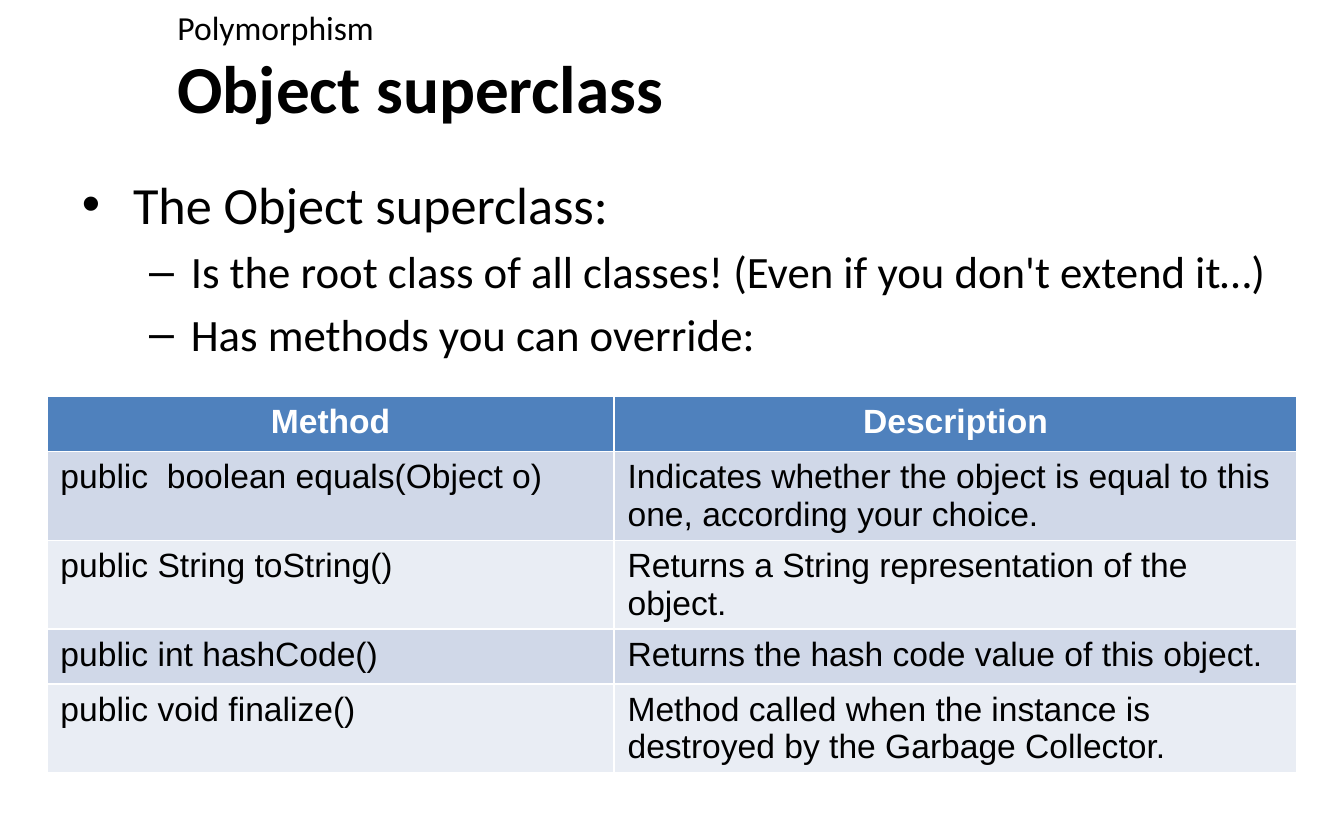
from pptx import Presentation as Deck
from pptx.dml.color import RGBColor as Rgb
from pptx.enum.text import MSO_ANCHOR as Anchor, MSO_AUTO_SIZE as Auto, PP_ALIGN as Align
from pptx.oxml.xmlchemy import OxmlElement as Node
from pptx.util import Inches, Pt

HUES = {"ink": "000000", "head": "4F81BD", "white": "FFFFFF",
        "odd": "D0D8E8", "even": "E9EDF4"}

deck = Deck()
deck.slide_width, deck.slide_height = Inches(10), Inches(6.25)
col, row = deck.slide_width / 100, deck.slide_height / 100


def box(x, y, wide, high):
    """Turn columns and rows of a 100 by 100 grid into lengths."""
    return [int(n) for n in (x * col, y * row, wide * col, high * row)]


def write(para, text, hue="ink", **form):
    run = para.add_run()
    run.text = text
    run.font.color.rgb = Rgb.from_string(HUES[hue])
    for name, value in form.items():
        setattr(run.font, name, value)


slide = deck.slides.add_slide(deck.slide_layouts.get_by_name("Two Content"))
title, body, topic = slide.placeholders

places = [
    (title, box(12.2, 5.92, 85.1, 8.8), Anchor.MIDDLE),
    (body, box(5.1, 19.68, 90.6, 74.08), Anchor.TOP),
    (topic, box(12.2, 0, 85.1, 5.92), Anchor.TOP),
]
for shape, area, anchor in places:
    for name, value in zip(("left", "top", "width", "height"), area):
        setattr(shape, name, value)
    shape.text_frame.auto_size = Auto.NONE
    shape.text_frame.vertical_anchor = anchor

# Title and topic
head = title.text_frame.paragraphs[0]
head.alignment = Align.LEFT
write(head, "Object superclass", name="Calibri", size=Pt(36), bold=True)

label = topic.text_frame.paragraphs[0]
write(label, "Polymorphism", name="Calibri", size=Pt(18))
props = label._p.get_or_add_pPr()
props.set("marL", "0")
props.set("indent", "0")
props.append(Node("a:buNone"))

# Bullet list
levels = [
    {"size": 28, "mark": "•", "left": 0.38, "hang": -0.38},
    {"size": 24, "mark": "–", "left": 0.81, "hang": -0.31},
]
points = [
    (0, "The Object superclass:"),
    (1, "Is the root class of all classes! (Even if you don't extend it…)"),
    (1, "Has methods you can override:"),
]
frame = body.text_frame
for i, (depth, text) in enumerate(points):
    para = frame.add_paragraph() if i else frame.paragraphs[0]
    para.level = depth
    form = levels[depth]
    write(para, text, name="Calibri", size=Pt(form["size"]))
    props = para._p.get_or_add_pPr()
    props.set("marL", str(Inches(form["left"])))
    props.set("indent", str(Inches(form["hang"])))
    mark = Node("a:buChar")
    mark.set("char", form["mark"])
    props.append(mark)

# Table of methods
methods = [
    ("Method", "Description"),
    ("public  boolean equals(Object o)",
     "Indicates whether the object is equal to this one, according your choice."),
    ("public String toString()", "Returns a String representation of the object."),
    ("public int hashCode()", "Returns the hash code value of this object."),
    ("public void finalize()",
     "Method called when the instance is destroyed by the Garbage Collector."),
]
grid = slide.shapes.add_table(len(methods), 2, *box(3.5, 47.2, 93, 32.8)).table
for column, wide in zip(grid.columns, (42.2, 50.8)):
    column.width = int(wide * col)

for r, texts in enumerate(methods):
    top = r == 0
    fill = "head" if top else "odd" if r % 2 else "even"
    for c, text in enumerate(texts):
        cell = grid.cell(r, c)
        cell.fill.solid()
        cell.fill.fore_color.rgb = Rgb.from_string(HUES[fill])
        para = cell.text_frame.paragraphs[0]
        para.alignment = Align.CENTER if top else Align.LEFT
        write(para, text, "white" if top else "ink", name="Arial", size=Pt(18), bold=top)

deck.save("out.pptx")
